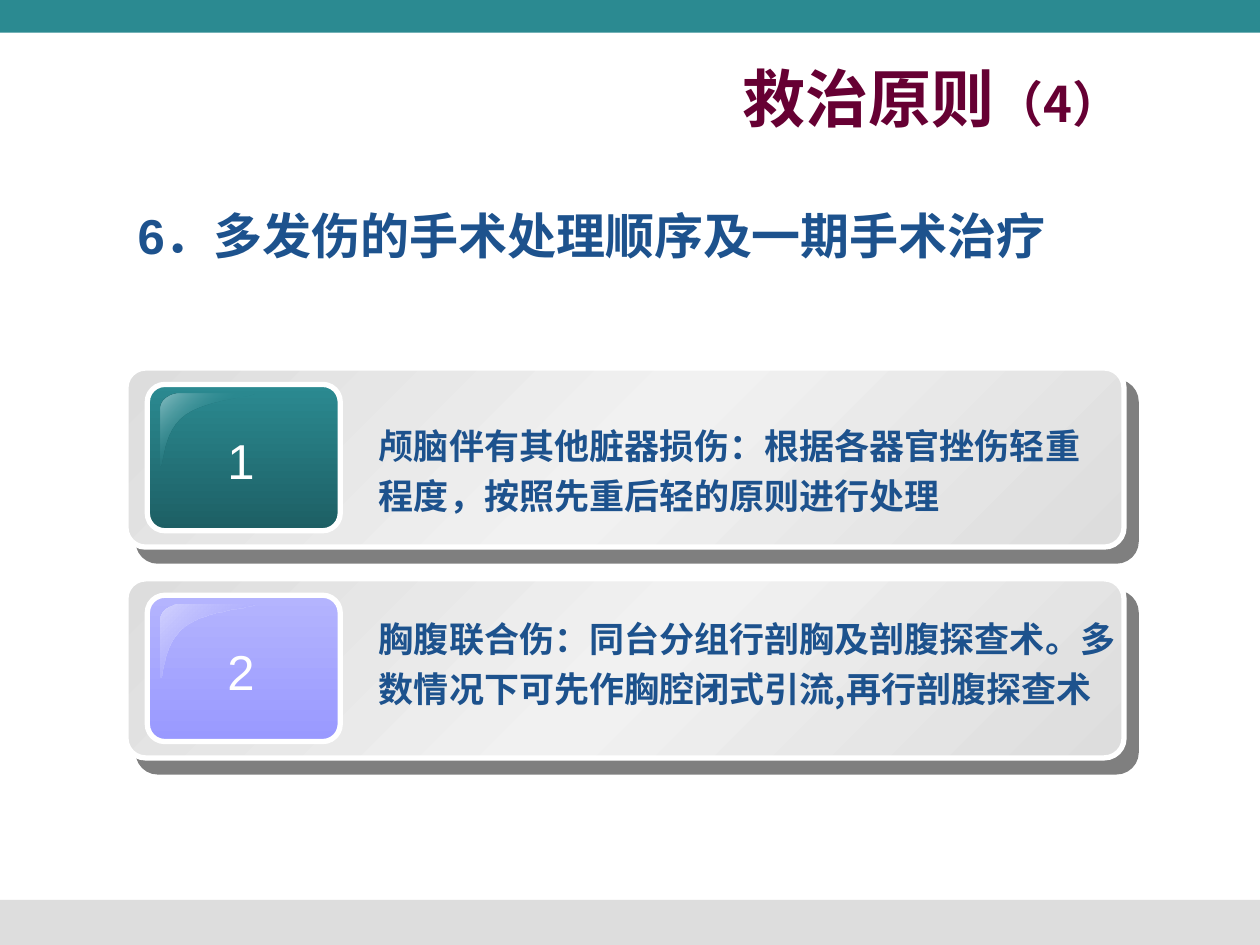
from lxml.etree import SubElement as Sub
from pptx import Presentation
from pptx.dml.color import RGBColor
from pptx.enum.shapes import MSO_SHAPE as Kind
from pptx.enum.text import MSO_ANCHOR as Anchor, MSO_AUTO_SIZE as Fit, PP_ALIGN as Align
from pptx.oxml.ns import qn
from pptx.util import Cm, Pt

rgb = RGBColor.from_string
HAN = "Noto Sans CJK SC"
TEAL, BLUE, WHITE = "2B8A91", "1D528D", "FFFFFF"


def write(shape, *parts, font="Arial", color=BLUE, bold=True, align=Align.LEFT,
          space=1.0, wrap=True, indent=0):
    """Fill a shape with one paragraph of (text, size) parts."""
    frame = shape.text_frame
    frame.word_wrap = wrap
    frame.auto_size = Fit.NONE
    frame.vertical_anchor = Anchor.TOP
    para = frame.paragraphs[0]
    props = para._p.get_or_add_pPr()
    props.set("marL", str(indent))
    props.set("indent", "0")
    Sub(props, qn("a:buNone"))
    para.alignment = align
    para.line_spacing = space
    para.space_before = Pt(0)
    for text, size in parts:
        run = para.add_run()
        run.text = text
        run.font.name = font
        run.font.size = Pt(size)
        run.font.bold = bold
        run.font.color.rgb = rgb(color)
        Sub(run._r.get_or_add_rPr(), qn("a:ea"), typeface=HAN)


def blend(shape, angle, *stops):
    """Fill a shape with a gradient of (place, colour, opacity) stops, in percent."""
    shape.shadow.inherit = False
    shape.fill.gradient()
    shape.fill.gradient_angle = 360 - angle
    area = shape.element.spPr.find(qn("a:gradFill")).find(qn("a:gsLst"))
    for old in list(area):
        area.remove(old)
    for place, color, alpha in stops:
        stop = Sub(area, qn("a:gs"), pos=str(place * 1000))
        tint = Sub(stop, qn("a:srgbClr"), val=color)
        Sub(tint, qn("a:alpha"), val=str(alpha * 1000))


deck = Presentation()
deck.slide_width, deck.slide_height = Cm(25.4), Cm(19.05)
slide = deck.slides.add_slide(deck.slide_layouts[1])
shapes = slide.shapes

# Bands at the top and bottom
for top, high, color in ((18.14, 0.91, "DDDDDD"), (0, 0.66, TEAL)):
    band = shapes.add_shape(Kind.RECTANGLE, 0, Cm(top), Cm(25.4), Cm(high))
    band.shadow.inherit = False
    band.fill.solid()
    band.fill.fore_color.rgb = rgb(color)
    band.line.fill.background()

# Title and heading
title, body = slide.placeholders
title.left, title.top, title.width, title.height = Cm(2.11), Cm(1.07), Cm(20.75), Cm(1.78)
write(title, ("救治原则", 36), ("（4）", 28), font=HAN, color="660033", align=Align.RIGHT)
body.left, body.top, body.width, body.height = Cm(0.64), Cm(4.01), Cm(23.93), Cm(2.11)
write(body, ("6．多发伤的手术处理顺序及一期手术治疗", 28), indent=Cm(1.88))

# Gloss outline: straight to the first point of each curve, then along it
curves = [
    [(0.38, 0), (0.2, 0), (0, 0.13), (0, 0.3)],
    [(0, 1.47), (0.08, 1.47), (0.03, 0.76), (0.51, 0.43)],
    [(0.51, 0.43), (0.99, 0.1), (1.93, 0.08), (1.91, 0)],
]
steps = 12
gloss = []
for curve in curves:
    for step in range(steps + 1):
        t = step / steps
        parts = ((1 - t) ** 3, 3 * t * (1 - t) ** 2, 3 * t * t * (1 - t), t ** 3)
        gloss.append([sum(w * p[axis] for w, p in zip(parts, curve)) for axis in (0, 1)])

# Numbered cards: badge stops, gloss stops, caption, its offset, width and font
cards = [
    ([(0, TEAL, 100), (100, "1D5F64", 100)],
     [(0, "8ABEC2", 100), (50, TEAL, 0), (100, "8ABEC2", 100)],
     "颅脑伴有其他脏器损伤：根据各器官挫伤轻重程度，按照先重后轻的原则进行处理",
     0.84, 14.78, "Arial"),
    ([(0, "B4B4FE", 100), (100, "9999FF", 100)],
     [(0, "9999FF", 0), (100, "D2D2FE", 100)],
     "胸腹联合伤：同台分组行剖胸及剖腹探查术。多数情况下可先作胸腔闭式引流,再行剖腹探查术",
     0.48, 15.7, HAN),
]
for num, (tones, shine, text, drop, wide, font) in enumerate(cards, 1):
    top = 7.42 + 4.25 * (num - 1)

    # Panel with a hard shadow
    panel = shapes.add_shape(Kind.ROUNDED_RECTANGLE, Cm(2.54), Cm(top), Cm(20.12), Cm(3.61))
    panel.adjustments[0] = 0.11
    blend(panel, 225, (0, "DDDDDD", 100), (50, "F1F1F1", 100), (100, "DDDDDD", 100))
    effect = panel.element.spPr.find(qn("a:effectLst"))
    shade = Sub(effect, qn("a:outerShdw"), blurRad="0", dist=str(Pt(10.6)),
                dir=str(49 * 60000), algn="ctr", rotWithShape="0")
    tint = Sub(shade, qn("a:srgbClr"), val="000000")
    Sub(tint, qn("a:alpha"), val="50000")

    # Badge
    badge = shapes.add_shape(Kind.ROUNDED_RECTANGLE, Cm(2.97), Cm(top + 0.33), Cm(3.89), Cm(2.95))
    badge.adjustments[0] = 0.12
    blend(badge, 90, *tones)
    for box in (panel, badge):
        box.line.color.rgb = rgb(WHITE)
        box.line.width = Pt(3)

    # Gloss on the badge
    spots = [(Cm(3.23 + x), Cm(top + 0.52 + y)) for x, y in gloss]
    pen = shapes.build_freeform(*spots[0])
    pen.add_line_segments(spots[1:], close=True)
    shine_shape = pen.convert_to_shape()
    blend(shine_shape, 225, *shine)
    shine_shape.line.fill.background()

    # Number and caption
    label = shapes.add_textbox(Cm(4.34), Cm(top + 1.13), Cm(1.04), Cm(1.45))
    write(label, (str(num), 28), color=WHITE, bold=False, align=Align.CENTER, wrap=False)
    note = shapes.add_textbox(Cm(7.39), Cm(top + drop), Cm(wide), Cm(2.29))
    write(note, (text, 20), font=font, space=1.2)

deck.save("out.pptx")
